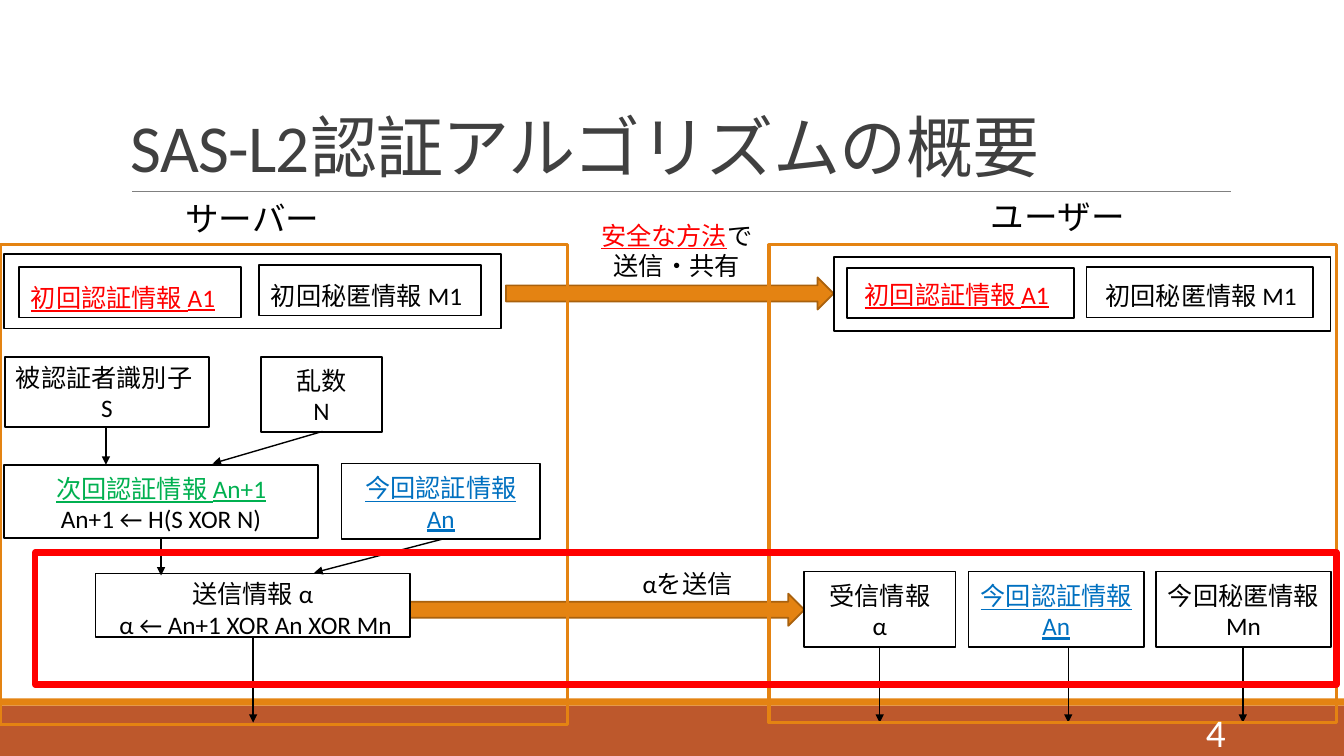
from dataclasses import dataclass

from pptx import Presentation
from pptx.dml.color import RGBColor
from pptx.enum.shapes import MSO_CONNECTOR as Connector, MSO_SHAPE as Shape
from pptx.enum.text import MSO_ANCHOR as Anchor, MSO_AUTO_SIZE as AutoSize, PP_ALIGN as Align
from pptx.oxml.ns import qn
from pptx.util import Cm, Pt
from lxml.etree import SubElement


@dataclass(frozen=True)
class Theme:
    """Colours, font and type sizes of the slide."""
    font: str = "Calibri"
    title_size: int = 48
    label_size: int = 24
    body_size: int = 18
    number_size: int = 28
    title: str = "404040"
    ink: str = "000000"
    paper: str = "FFFFFF"
    rule: str = "808080"
    footer: str = "BD582C"
    accent: str = "E48312"
    accent_edge: str = "A9610D"
    red: str = "FF0000"
    green: str = "00B050"
    blue: str = "0070C0"


@dataclass(frozen=True)
class Box:
    """A rectangle in centimetres."""
    left: float
    top: float
    width: float
    height: float

    def inner(self, left, top, width, height):
        """Return a box placed relative to this one."""
        return Box(self.left + left, self.top + top, width, height)

    def lengths(self):
        """Return the four measures as slide lengths."""
        return [Cm(value) for value in (self.left, self.top, self.width, self.height)]


THEME = Theme()
MARKED = (THEME.red, THEME.green, THEME.blue)
FIRST_AUTH = [[("初回認証情報 A1", THEME.red)]]
FIRST_SECRET = [[("初回秘匿情報 M1", THEME.ink)]]
THIS_AUTH = [[("今回認証情報", THEME.blue)], [("An", THEME.blue)]]


def plain(*lines):
    """Return black one-span lines."""
    return [[(line, THEME.ink)] for line in lines]


def assign(target, values):
    """Set attributes from a dict of format values."""
    for name, value in values.items():
        setattr(target, name, value)


def write(frame, lines, size=THEME.body_size, align=Align.CENTER, anchor=Anchor.TOP, **margins):
    """Fill a text frame with lines of coloured spans."""
    assign(frame, {"word_wrap": True, "auto_size": AutoSize.NONE, "vertical_anchor": anchor,
                   "margin_left": Cm(0.25), "margin_right": Cm(0.25),
                   "margin_top": Cm(0.13), "margin_bottom": Cm(0)} | margins)
    for index, line in enumerate(lines):
        para = frame.add_paragraph() if index else frame.paragraphs[0]
        para.alignment = align
        for text, colour in line:
            span = para.add_run()
            span.text = text
            assign(span.font, {"name": THEME.font, "size": Pt(size), "underline": colour in MARKED})
            span.font.color.rgb = RGBColor.from_string(colour)


def add_text(page, box, lines, **style):
    """Add a free text box."""
    write(page.shapes.add_textbox(*box.lengths()).text_frame, lines, **style)


def add_block(page, box, fill=None, edge=None, weight=1.25, kind=Shape.RECTANGLE):
    """Add a preset shape with an optional fill and outline."""
    block = page.shapes.add_shape(kind, *box.lengths())
    block.shadow.inherit = False
    for part, colour in ((block.fill, fill), (block.line.fill, edge)):
        if colour:
            part.solid()
            part.fore_color.rgb = RGBColor.from_string(colour)
        else:
            part.background()
    if edge:
        block.line.width = Pt(weight)
    return block


def add_node(page, box, lines, drop=0.0, indent=None):
    """Add a white outlined node, left aligned when an indent is given."""
    style = {"margin_top": Cm(0.13 + drop)}
    if indent is not None:
        style |= {"align": Align.LEFT, "margin_left": Cm(0.25 + indent), "margin_right": Cm(0)}
    write(add_block(page, box, THEME.paper, THEME.ink).text_frame, lines, **style)


def add_line(page, box, points, colour=THEME.ink, weight=1, arrow=True):
    """Add a straight line between two points relative to a box."""
    ends = [Cm(value + (box.top if index % 2 else box.left)) for index, value in enumerate(points)]
    line = page.shapes.add_connector(Connector.STRAIGHT, *ends)
    line.line.width = Pt(weight)
    line.line.color.rgb = RGBColor.from_string(colour)
    if arrow:
        SubElement(line.line._get_or_add_ln(), qn("a:tailEnd"), type="triangle")
    SubElement(line._element.spPr, qn("a:effectLst"))


def draw_footer(page, box):
    """Draw the footer band and the strip above it."""
    add_block(page, box.inner(0, 0.18, box.width, 1.27), THEME.footer)
    add_block(page, box.inner(0, 0, box.width, 0.18), THEME.accent)


def draw_heading(page, box):
    """Format the title placeholder and draw the rule beneath it."""
    title = page.shapes.title
    assign(title, dict(zip(("left", "top", "width", "height"), box.lengths())))
    write(title.text_frame, [[("SAS-L2認証アルゴリズムの概要", THEME.title)]], THEME.title_size,
          Align.LEFT, Anchor.BOTTOM, margin_bottom=Cm(0.13))
    para = title.text_frame.paragraphs[0]
    para.line_spacing = 0.85
    para.runs[0].font._element.set("spc", "-50")
    add_line(page, box, (0.28, box.height, 27.96, box.height), THEME.rule, 0.5, arrow=False)


def draw_channel(page, box):
    """Draw the two transfers from server to user."""
    shared = [[("安全な方法", THEME.red), ("で", THEME.ink)], *plain("送信・共有")]
    add_text(page, box.inner(4.42, 0, 4.65, 1.8), shared)
    add_text(page, box.inner(3.13, 8.79, 7.77, 1.02), plain("αを送信"))
    for left, top, width in ((2.44, 1.58, 8.26), (0, 9.55, 9.96)):
        add_block(page, box.inner(left, top, width, 0.81), THEME.accent, THEME.accent_edge,
                  kind=Shape.RIGHT_ARROW)


def draw_server(page, box):
    """Draw the server column."""
    add_text(page, box.inner(4.11, -1.3, 4.5, 1.27), plain("サーバー"), size=THEME.label_size)
    add_block(page, box.inner(0.1, 0.23, 12.52, 1.88), edge=THEME.ink)
    next_auth = [[("次回認証情報 An+1", THEME.green)], *plain("An+1 ← H(S XOR N)")]
    sent = plain("送信情報 α", " α ← An+1 XOR An XOR Mn")
    for place, lines, drop, indent in (
            ((6.53, 0.51, 5.59, 1.27), FIRST_SECRET, 0.25, 0.05),
            ((0.48, 0.56, 5.59, 1.27), FIRST_AUTH, 0.25, 0.05),
            ((0.13, 2.82, 5.13, 1.78), plain("被認証者識別子 ", "S"), 0, None),
            ((6.58, 2.82, 3.05, 1.9), plain("乱数", "N"), 0.08, None),
            ((0.1, 5.54, 7.92, 1.85), next_auth, 0.08, None),
            ((8.61, 5.51, 5, 1.9), THIS_AUTH, 0.1, None),
            ((2.41, 8.28, 7.92, 1.6), sent, 0, None)):
        add_node(page, box.inner(*place), lines, drop, indent)
    for points in ((2.67, 4.62, 2.67, 5.54), (8.13, 4.7, 5.36, 5.51), (4.06, 7.39, 4.06, 8.33),
                   (11.13, 7.42, 7.92, 8.26), (6.38, 9.88, 6.38, 12.04)):
        add_line(page, box, points)
    add_block(page, box, edge=THEME.accent, weight=2.25)


def draw_user(page, box):
    """Draw the user column."""
    add_text(page, box.inner(5.03, -1.37, 4.5, 1.27), plain("ユーザー"), size=THEME.label_size)
    add_block(page, box.inner(1.63, 0.3, 12.52, 1.88), edge=THEME.ink)
    add_node(page, box.inner(1.96, 0.58, 5.72, 1.27), FIRST_AUTH, 0.15, 0.2)
    add_node(page, box.inner(8, 0.56, 5.72, 1.27), FIRST_SECRET, 0.2, 0.23)
    for left, width, exit_x, lines in ((0.89, 3.81, 2.79, plain("受信情報", "α")),
                                       (5.03, 4.42, 7.54, THIS_AUTH),
                                       (9.75, 4.42, 11.94, plain("今回秘匿情報", "Mn"))):
        add_node(page, box.inner(left, 8.23, width, 1.9), lines, 0.1)
        add_line(page, box, (exit_x, 10.13, exit_x, 12.04))
    add_block(page, box, edge=THEME.accent, weight=2.25)


def main():
    """Build and save the deck."""
    deck = Presentation()
    assign(deck, {"slide_width": Cm(33.87), "slide_height": Cm(19.05)})
    page = deck.slides.add_slide(deck.slide_layouts[5])
    draw_footer(page, Box(0, 17.6, 33.87, 1.45))
    draw_heading(page, Box(3.05, 0.79, 27.94, 4.04))
    draw_channel(page, Box(10.31, 5.41, 10.7, 10.36))
    draw_server(page, Box(0, 6.17, 14.3, 12.09))
    draw_user(page, Box(19.38, 6.17, 14.3, 12.04))
    add_block(page, Box(0.89, 13.92, 32.79, 3.33), edge=THEME.red, weight=4.5)
    add_text(page, Box(27.51, 17.93, 3.63, 1.02), [[("4", THEME.paper)]], size=THEME.number_size,
             align=Align.RIGHT, anchor=Anchor.MIDDLE, margin_bottom=Cm(0.13))
    deck.save("out.pptx")


if __name__ == "__main__":
    main()
